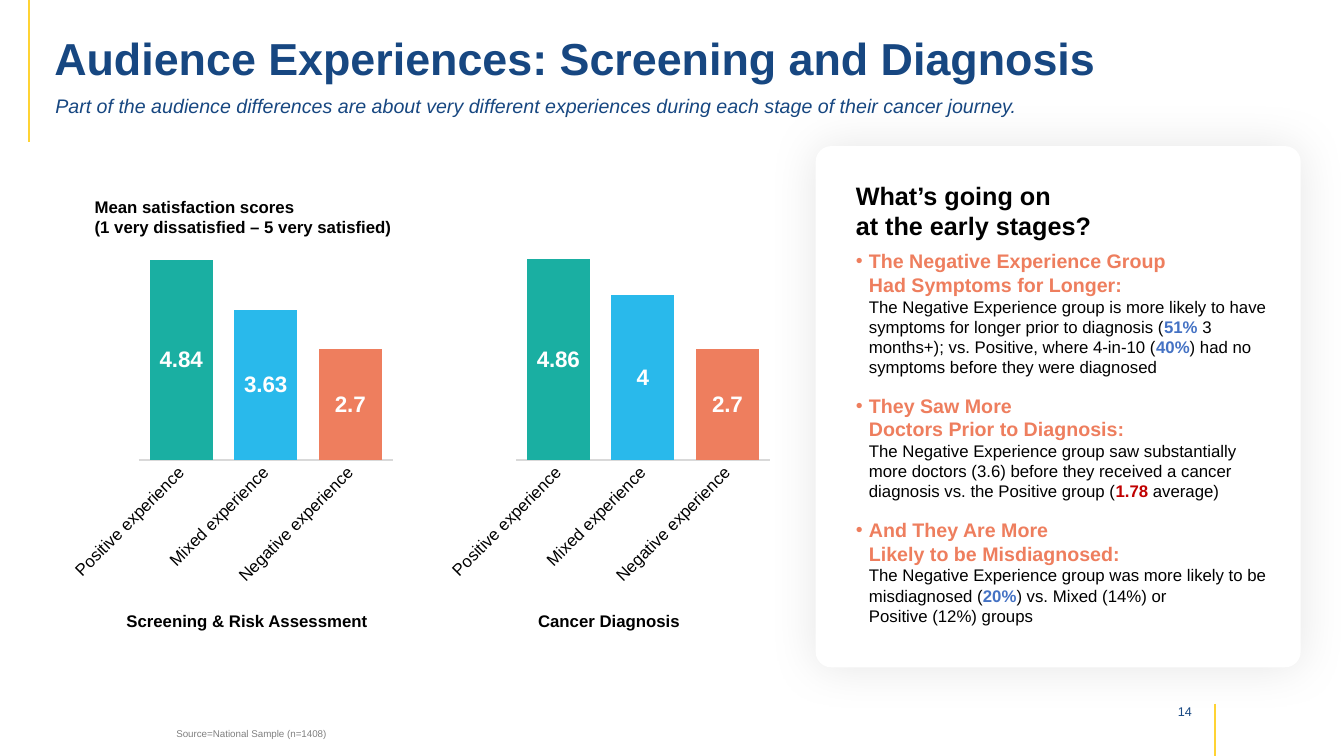
import copy

import lxml.etree
import pptx
import pptx.chart.data
import pptx.dml.color
import pptx.enum.chart
import pptx.enum.shapes
import pptx.enum.text
import pptx.oxml
import pptx.oxml.ns
import pptx.util
from pptx.util import Inches

FONT = "Arial"
COLORS = {
    "navy": "174781", "yellow": "FFD334", "gray": "808080", "black": "000000",
    "white": "FFFFFF", "coral": "EE7E5E", "blue": "4472C4", "red": "C00000",
    "teal": "1AAFA2", "sky": "29B9EB", "axis": "D9D9D9",
}
GROUPS = {"Positive experience": "teal", "Mixed experience": "sky", "Negative experience": "coral"}
CHARTS = [
    ("Screening & Risk Assessment", 0.65, 0.91, (4.84, 3.63, 2.7)),
    ("Cancer Diagnosis", 4.39, 4.5, (4.86, 4, 2.7)),
]
FINDINGS = [
    ("The Negative Experience Group\nHad Symptoms for Longer: \n", [
        ("The Negative Experience group is more likely to have symptoms for longer prior to diagnosis (", None),
        ("51% ", "blue"),
        ("3 months+); vs. Positive, where 4-in-10 (", None),
        ("40%", "blue"),
        (") had no symptoms before they were diagnosed", None),
    ]),
    ("They Saw More \nDoctors Prior to Diagnosis: \n", [
        ("The Negative Experience group saw substantially more doctors (3.6) before they received "
         "a cancer diagnosis vs. the Positive group (", None),
        ("1.78", "red"),
        (" average)", None),
    ]),
    ("And They Are More \nLikely to be Misdiagnosed: \n", [
        ("The Negative Experience group was more likely to be misdiagnosed (", None),
        ("20%", "blue"),
        (") vs. Mixed (14%) or \nPositive (12%) groups", None),
    ]),
]


def rgb(color):
    """Return the named color as an RGB value."""
    return pptx.dml.color.RGBColor.from_string(COLORS[color])


def style_font(font, size, color, bold=False, italic=False):
    """Apply the deck typeface and the given style to a font."""
    font.name, font.size = FONT, pptx.util.Pt(size)
    font.bold, font.italic = bold, italic
    font.color.rgb = rgb(color)


def add_run(paragraph, text, size, color, bold=False, italic=False):
    """Add styled text, turning newlines into line breaks of the same size."""
    for index, line in enumerate(text.split("\n")):
        if index:
            paragraph.add_line_break()
            paragraph._p[-1].append(copy.deepcopy(run._r.rPr))
        if line:
            run = paragraph.add_run()
            run.text = line
            style_font(run.font, size, color, bold, italic)


def add_text_box(slide, left, top, width, height):
    """Add a wrapping text box and return its text frame."""
    box = slide.shapes.add_textbox(Inches(left), Inches(top), Inches(width), Inches(height))
    box.text_frame.word_wrap = True
    return box.text_frame


def add_label(slide, place, text, size, color, bold=False, italic=False, align="LEFT"):
    """Add a text box with one paragraph and return its text frame."""
    frame = add_text_box(slide, *place)
    paragraph = frame.paragraphs[0]
    paragraph.alignment = getattr(pptx.enum.text.PP_ALIGN, align)
    add_run(paragraph, text, size, color, bold, italic)
    return frame


def add_accent_line(slide, left, top, bottom):
    """Add a vertical yellow line."""
    line = slide.shapes.add_connector(
        pptx.enum.shapes.MSO_CONNECTOR.STRAIGHT,
        Inches(left), Inches(top), Inches(left), Inches(bottom))
    line.line.color.rgb = rgb("yellow")
    line.line.width = pptx.util.Pt(1.5)
    lxml.etree.SubElement(line._element.spPr, pptx.oxml.ns.qn("a:effectLst"))


def add_card(slide):
    """Add the white rounded card with its soft shadow."""
    card = slide.shapes.add_shape(
        pptx.enum.shapes.MSO_SHAPE.ROUNDED_RECTANGLE,
        Inches(8.09), Inches(1.45), Inches(4.81), Inches(5.17))
    card.adjustments[0] = 0.032
    card.fill.solid()
    card.fill.fore_color.rgb = rgb("white")
    card.line.fill.background()
    card.shadow.inherit = False
    effects = card._element.spPr.find(pptx.oxml.ns.qn("a:effectLst"))
    effects.append(pptx.oxml.parse_xml(
        f'<a:outerShdw {pptx.oxml.ns.nsdecls("a")} blurRad="{pptx.util.Pt(34.9)}" dist="0" dir="0" '
        f'algn="ctr" rotWithShape="0"><a:srgbClr val="{COLORS["black"]}">'
        '<a:alpha val="10000"/></a:srgbClr></a:outerShdw>'))


def set_bullet(paragraph):
    """Give a paragraph a bullet with a hanging indent."""
    properties = paragraph._p.get_or_add_pPr()
    properties.set("marL", str(Inches(0.13)))
    properties.set("indent", str(-Inches(0.13)))
    bullet_font = lxml.etree.SubElement(properties, pptx.oxml.ns.qn("a:buFont"))
    bullet_font.set("typeface", FONT)
    lxml.etree.SubElement(properties, pptx.oxml.ns.qn("a:buChar")).set("char", "•")


def add_findings(slide):
    """Add the card heading and its bulleted findings."""
    frame = add_label(slide, (8.39, 1.74, 4.3, 5.37),
                      "What’s going on \nat the early stages?", 18, "black", bold=True)
    for heading, details in FINDINGS:
        paragraph = frame.add_paragraph()
        paragraph.space_before = pptx.util.Pt(6)
        paragraph.space_after = pptx.util.Pt(0 if heading == FINDINGS[-1][0] else 6)
        set_bullet(paragraph)
        add_run(paragraph, heading, 14, "coral", bold=True)
        for text, highlight in details:
            add_run(paragraph, text, 12, highlight or "black", bold=highlight is not None)


def set_plot_layout(chart, x, y, width, height):
    """Fix the inner plot area as fractions of the chart."""
    plot_area = chart._chartSpace.chart.plotArea
    for layout in plot_area.findall(pptx.oxml.ns.qn("c:layout")):
        plot_area.remove(layout)
    plot_area.insert(0, pptx.oxml.parse_xml(
        f'<c:layout {pptx.oxml.ns.nsdecls("c")}><c:manualLayout><c:layoutTarget val="inner"/>'
        f'<c:xMode val="edge"/><c:yMode val="edge"/><c:x val="{x}"/><c:y val="{y}"/>'
        f'<c:w val="{width}"/><c:h val="{height}"/></c:manualLayout></c:layout>'))


def add_score_chart(slide, left, scores):
    """Add a column chart of satisfaction scores, one color per group."""
    data = pptx.chart.data.CategoryChartData()
    data.categories = list(GROUPS)
    data.add_series("Series 1", scores)
    chart = slide.shapes.add_chart(
        pptx.enum.chart.XL_CHART_TYPE.COLUMN_STACKED,
        Inches(left), Inches(2.03), Inches(3.31), Inches(3.84), data).chart
    style_font(chart.font, 10, "black")
    chart.has_legend = chart.has_title = False
    set_plot_layout(chart, 0.22, 0.02, 0.76, 0.64)

    value_axis = chart.value_axis
    value_axis.minimum_scale, value_axis.maximum_scale = 0, 6
    value_axis.has_major_gridlines = value_axis.visible = False
    category_axis = chart.category_axis
    category_axis.major_tick_mark = pptx.enum.chart.XL_TICK_MARK.NONE
    category_axis.format.line.color.rgb = rgb("axis")
    category_axis.format.line.width = pptx.util.Pt(0.75)
    style_font(category_axis.tick_labels.font, 12, "black")
    category_axis._element.txPr.bodyPr.set("rot", "-2700000")

    plot = chart.plots[0]
    plot.gap_width, plot.overlap, plot.vary_by_categories = 34, 100, False
    series = plot.series[0]
    for index, color in enumerate(GROUPS.values()):
        fill = series.points[index].format.fill
        fill.solid()
        fill.fore_color.rgb = rgb(color)
    series.data_labels.show_value = True
    style_font(series.data_labels.font, 16, "white", bold=True)


def main():
    """Build the slide and save it."""
    presentation = pptx.Presentation()
    presentation.slide_width, presentation.slide_height = Inches(13.33), Inches(7.5)
    slide = presentation.slides.add_slide(presentation.slide_layouts[6])

    add_accent_line(slide, 0.29, 0, 1.41)
    add_accent_line(slide, 12.05, 6.98, 7.5)
    add_label(slide, (11.33, 6.93, 0.59, 0.25), "14", 9, "navy", align="RIGHT")
    title = add_label(slide, (0.44, 0.23, 12.39, 0.76),
                      "Audience Experiences: Screening and Diagnosis", 32, "navy", bold=True)
    title.vertical_anchor = pptx.enum.text.MSO_ANCHOR.MIDDLE
    title.paragraphs[0].line_spacing = 0.9
    add_label(slide, (0.45, 0.88, 12.35, 0.5),
              "Part of the audience differences are about very different experiences "
              "during each stage of their cancer journey.", 14, "navy", italic=True)
    add_label(slide, (1.65, 7.17, 6.25, 0.22), "Source=National Sample (n=1408)", 7, "gray")

    add_card(slide)
    add_findings(slide)

    for caption, chart_left, caption_left, scores in CHARTS:
        add_score_chart(slide, chart_left, scores)
        add_label(slide, (caption_left, 6.01, 3.08, 0.3), caption, 12, "black", bold=True, align="CENTER")
    scale = add_label(slide, (0.84, 1.9, 5.09, 0.5), "Mean satisfaction scores", 12, "black", bold=True)
    add_run(scale.add_paragraph(), "(1 very dissatisfied – 5 very satisfied)", 12, "black", bold=True)

    presentation.save("out.pptx")


if __name__ == "__main__":
    main()
